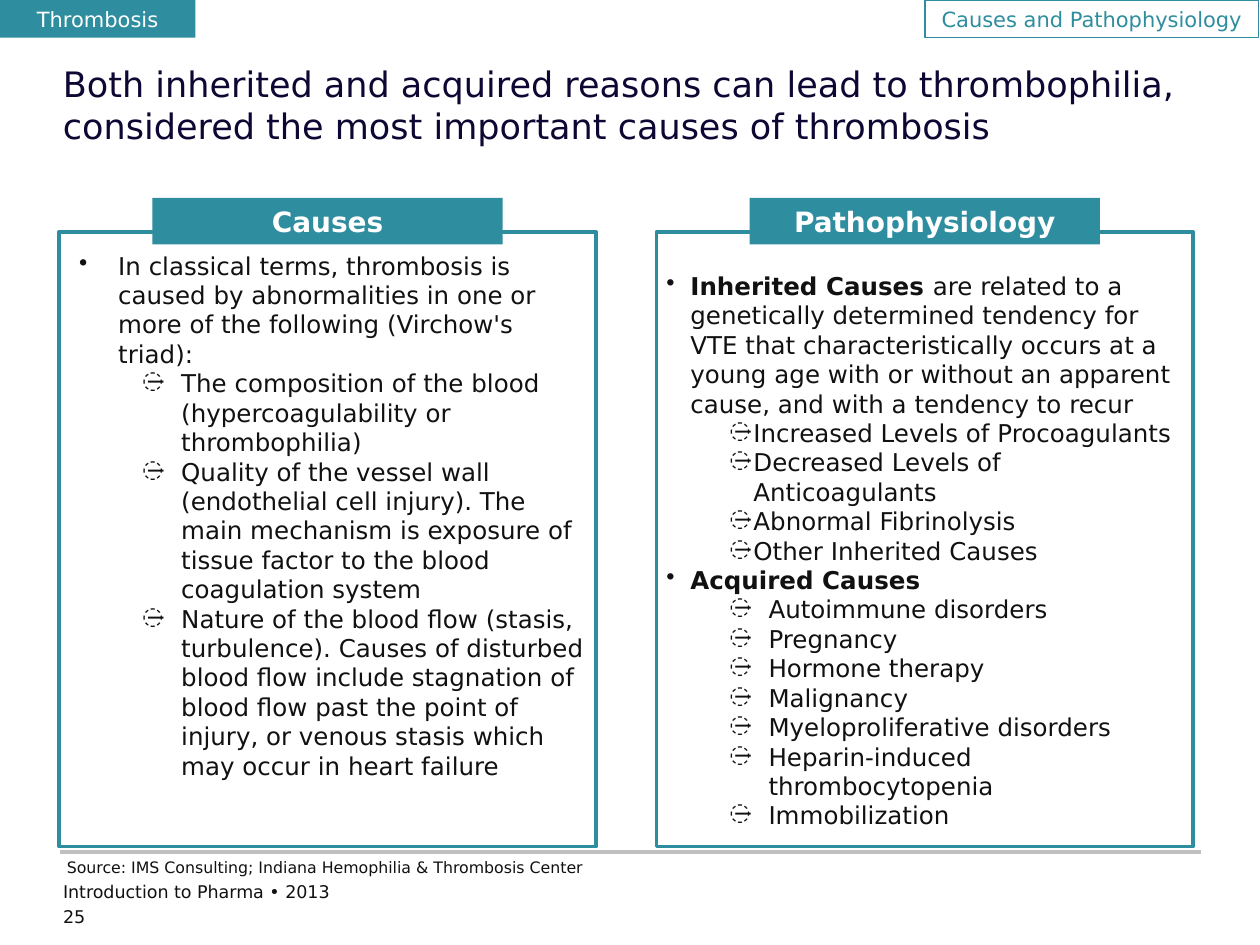
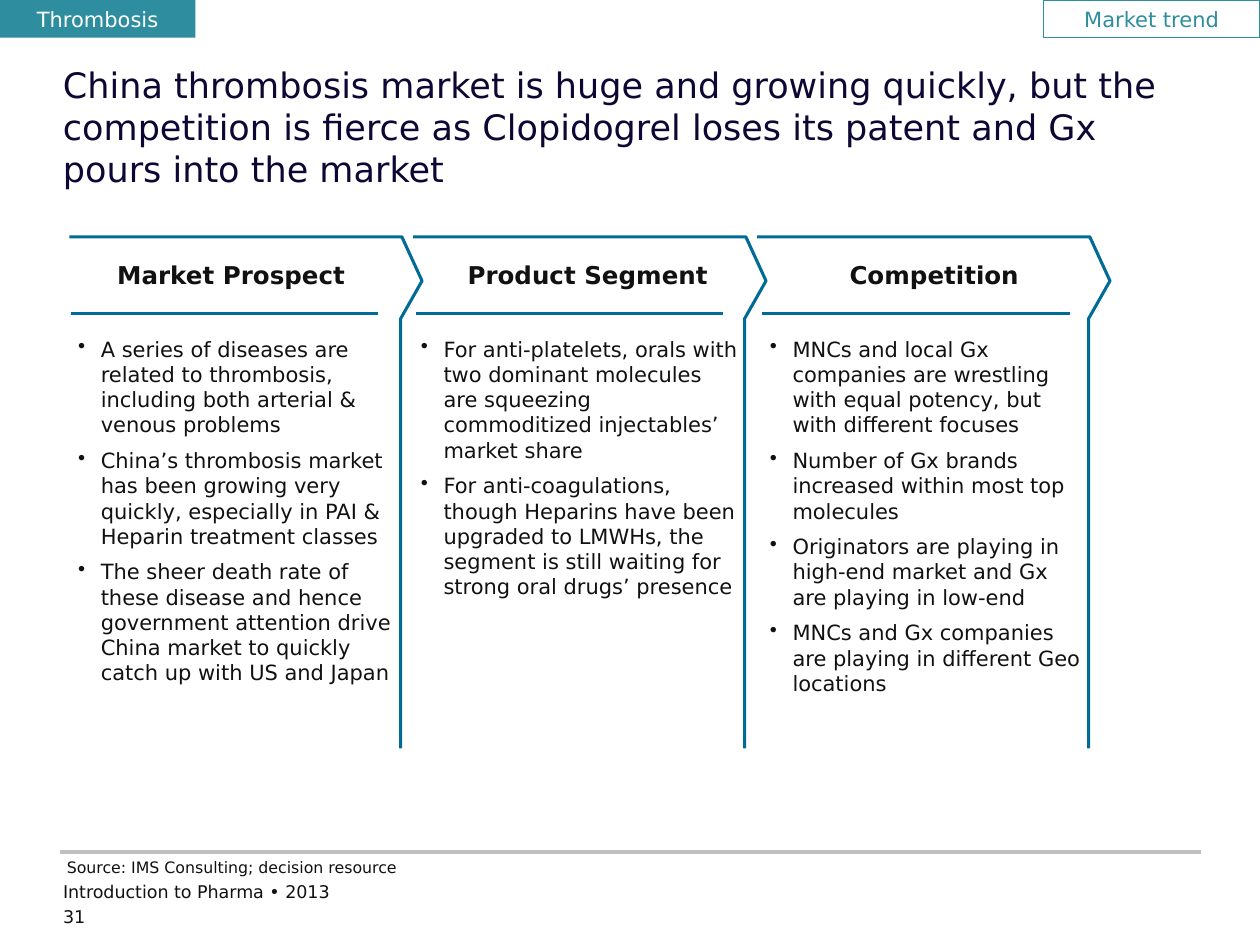
from collections import namedtuple

from lxml.etree import SubElement
from pptx import Presentation
from pptx.dml.color import RGBColor
from pptx.enum.shapes import MSO_CONNECTOR, MSO_SHAPE
from pptx.enum.text import MSO_ANCHOR, PP_ALIGN
from pptx.oxml.ns import qn
from pptx.util import Inches, Pt

FONT = "DejaVu Sans"
TEAL, BLUE, NAVY = "2E8D9E", "006C96", "0E0733"
INK, WHITE, GREY = "111111", "FFFFFF", "C0C0C0"
NO_INSETS = (0, 0, 0, 0)
BOX_INSETS = (0.1, 0.05, 0.1, 0.05)

Item = namedtuple("Item", "text lead level left hang bullet", defaults=("", 0, 0, 0, ""))


def point(text, lead="", indent=0.19, level=0):
    return Item(text, lead, level, indent, indent, "•")


def dashes(texts, left, hang):
    return [Item(text, "", 1, left, hang, "̶") for text in texts]


def rgb(color):
    return RGBColor.from_string(color)


def set_bullet(p, item):
    pPr = p._p.get_or_add_pPr()
    pPr.set("marL", str(Inches(item.left)))
    pPr.set("indent", str(-Inches(item.hang)))
    SubElement(pPr, qn("a:buChar")).set("char", item.bullet)


def write(s, content, size=12, color=INK, bold=False, align=PP_ALIGN.LEFT,
          anchor=MSO_ANCHOR.TOP, insets=NO_INSETS, wrap=True, gap=0):
    tf = s.text_frame
    tf.word_wrap = wrap
    tf.vertical_anchor = anchor
    tf.margin_left, tf.margin_top, tf.margin_right, tf.margin_bottom = map(Inches, insets)
    items = [Item(content)] if isinstance(content, str) else content
    for i, item in enumerate(items):
        p = tf.add_paragraph() if i else tf.paragraphs[0]
        p.alignment = align
        p.level = item.level
        if i and gap:
            p.space_before = Pt(gap)
        if item.bullet:
            set_bullet(p, item)
        for text, strong in ((item.lead, True), (item.text, bold)):
            if text:
                r = p.add_run()
                r.text = text
                r.font.name, r.font.size, r.font.bold = FONT, Pt(size), strong
                r.font.color.rgb = rgb(color)


def add_text(slide, x, y, w, h, content, **fmt):
    write(slide.shapes.add_textbox(*map(Inches, (x, y, w, h))), content, **fmt)


def add_rect(slide, x, y, w, h, fill=None, line=None, width=1):
    s = slide.shapes.add_shape(MSO_SHAPE.RECTANGLE, *map(Inches, (x, y, w, h)))
    s.shadow.inherit = False
    if fill:
        s.fill.solid()
        s.fill.fore_color.rgb = rgb(fill)
    else:
        s.fill.background()
    if line:
        s.line.color.rgb = rgb(line)
        s.line.width = Pt(width)
    else:
        s.line.fill.background()
    return s


def add_label(slide, x, y, w, h, text, fill=None, line=None, **fmt):
    s = add_rect(slide, x, y, w, h, fill, line, 0.75)
    write(s, text, align=PP_ALIGN.CENTER, anchor=MSO_ANCHOR.MIDDLE,
          insets=BOX_INSETS, **fmt)


def add_rule(slide, x1, x2, y, color, width):
    s = slide.shapes.add_connector(MSO_CONNECTOR.STRAIGHT, *map(Inches, (x1, y, x2, y)))
    s.line.color.rgb = rgb(color)
    s.line.width = Pt(width)
    SubElement(s._element.spPr, qn("a:effectLst"))


def add_base(prs, title, topic, topic_x, topic_w, source, number):
    slide = prs.slides.add_slide(prs.slide_layouts[6])
    add_rule(slide, 0.48, 9.53, 6.76, GREY, 2)
    add_text(slide, 0.5, 7.19, 0.48, 0.2, number, size=10)
    add_text(slide, 0.5, 0.5, 9, 1, title, size=20, color=NAVY)
    add_text(slide, 0.5, 6.99, 6.68, 0.23, "Introduction to Pharma • 2013", size=10)
    add_label(slide, topic_x, 0, topic_w, 0.3, topic, line=TEAL, color=TEAL, wrap=False)
    add_text(slide, 0.53, 6.81, 4.22, 0.15, source, size=9, wrap=False)
    add_label(slide, 0, 0, 1.55, 0.3, "Thrombosis", fill=TEAL, color=WHITE)
    return slide


def add_panel(slide, x, heading):
    panel = add_rect(slide, x, 1.84, 4.26, 4.88, line=TEAL, width=2)
    add_label(slide, x + 0.74, 1.57, 2.78, 0.37, heading, fill=TEAL,
              size=16, color=WHITE, bold=True)
    return panel


def add_chevron_outline(slide, x):
    corners = [(2.64, 1.88), (2.8, 2.23), (2.63, 2.53), (2.63, 5.94)]
    builder = slide.shapes.build_freeform(Inches(x), Inches(1.88))
    builder.add_line_segments([(Inches(x + dx), Inches(y)) for dx, y in corners], close=False)
    s = builder.convert_to_shape()
    s.shadow.inherit = False
    s.fill.background()
    s.line.color.rgb = rgb(BLUE)
    s.line.width = Pt(1.75)


def add_column(slide, x, heading_x, body_x, rule_x, heading, points):
    add_chevron_outline(slide, x)
    add_text(slide, heading_x, 2.06, 2.47, 0.24, heading, size=14, bold=True,
             align=PP_ALIGN.CENTER, anchor=MSO_ANCHOR.MIDDLE)
    add_text(slide, body_x, 2.67, 2.52, 3,
             [point(text, indent=0.18, level=1) for text in points], gap=6)
    add_rule(slide, rule_x, rule_x + 2.44, 2.49, BLUE, 1.75)


def add_causes_slide(prs):
    slide = add_base(
        prs,
        "Both inherited and acquired reasons can lead to thrombophilia, "
        "considered the most important causes of thrombosis",
        "Causes and Pathophysiology", 7.34, 2.65,
        "Source: IMS Consulting; Indiana Hemophilia & Thrombosis Center", "25")
    add_panel(slide, 0.47, "Causes")
    triad = [
        "The composition of the blood (hypercoagulability or thrombophilia)",
        "Quality of the vessel wall (endothelial cell injury). The main mechanism is "
        "exposure of tissue factor to the blood coagulation system",
        "Nature of the blood flow (stasis, turbulence). Causes of disturbed blood flow "
        "include stagnation of blood flow past the point of injury, or venous stasis "
        "which may occur in heart failure",
    ]
    intro = point("In classical terms, thrombosis is caused by abnormalities in one or "
                  "more of the following (Virchow's triad):", indent=0.31)
    add_text(slide, 0.53, 1.94, 4.21, 4.58, [intro] + dashes(triad, 0.81, 0.31),
             size=14, insets=BOX_INSETS)

    inherited = ["Increased Levels of Procoagulants", "Decreased Levels of Anticoagulants",
                 "Abnormal Fibrinolysis", "Other Inherited Causes"]
    acquired = ["Autoimmune disorders", "Pregnancy", "Hormone therapy", "Malignancy",
                "Myeloproliferative disorders", "Heparin-induced thrombocytopenia",
                "Immobilization"]
    content = [
        point("are related to a genetically determined tendency for VTE that "
              "characteristically occurs at a young age with or without an apparent "
              "cause, and with a tendency to recur", lead="Inherited Causes "),
        *dashes(inherited, 0.69, 0.19),
        point("", lead="Acquired Causes"),
        *dashes(acquired, 0.81, 0.31),
    ]
    write(add_panel(slide, 5.21, "Pathophysiology"), content, size=14,
          insets=(0.08, 0.31, 0.08, 0.08))


def add_market_slide(prs):
    slide = add_base(
        prs,
        "China thrombosis market is huge and growing quickly, but the competition is "
        "fierce as Clopidogrel loses its patent and Gx pours into the market",
        "Market trend", 8.28, 1.72,
        "Source: IMS Consulting; decision resource", "31")
    columns = [
        (0.6, 0.62, 0.56, "Market Prospect", [
            "A series of diseases are related to thrombosis, including both arterial & "
            "venous problems",
            "China’s thrombosis market has been growing very quickly, especially in PAI & "
            "Heparin treatment classes",
            "The sheer death rate of these disease and hence government attention drive "
            "China market to quickly catch up with US and Japan"]),
        (3.43, 3.34, 3.3, "Product Segment", [
            "For anti-platelets, orals with two dominant molecules are squeezing "
            "commoditized injectables’ market share",
            "For anti-coagulations, though Heparins have been upgraded to LMWHs, the "
            "segment is still waiting for strong oral drugs’ presence"]),
        (6.18, 6.11, 6.05, "Competition", [
            "MNCs and local Gx companies are wrestling with equal potency, but with "
            "different focuses",
            "Number of Gx brands increased within most top molecules",
            "Originators are playing in high-end market and Gx are playing in low-end",
            "MNCs and Gx companies are playing in different Geo locations"]),
    ]
    for i, column in enumerate(columns):
        add_column(slide, 0.55 + 2.73 * i, *column)


def main():
    prs = Presentation()
    prs.slide_width, prs.slide_height = Inches(10), Inches(7.5)
    add_causes_slide(prs)
    add_market_slide(prs)
    prs.save("out.pptx")


if __name__ == "__main__":
    main()
